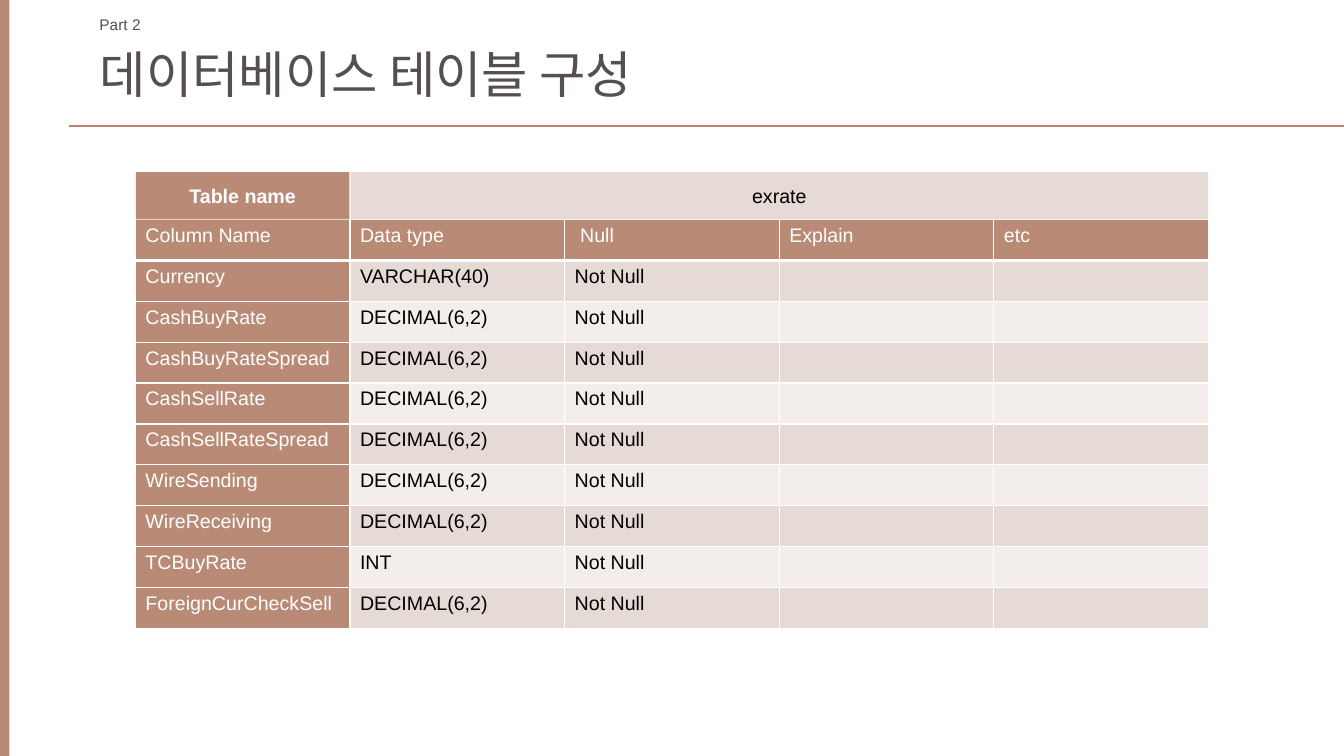
from lxml.etree import SubElement
from pptx import Presentation
from pptx.dml.color import RGBColor
from pptx.enum.shapes import MSO_CONNECTOR, MSO_SHAPE
from pptx.enum.text import MSO_ANCHOR, MSO_AUTO_SIZE, PP_ALIGN
from pptx.oxml.ns import qn
from pptx.util import Pt

COLORS = {
    "accent": "B98A76",
    "rule": "B78672",
    "band": "E6DAD6",
    "light": "F3EDEC",
    "heading": "554F4D",
    "white": "FFFFFF",
    "black": "000000",
}
HEADERS = ["Column Name", "Data type", " Null", "Explain", "etc"]
DECIMAL = "DECIMAL(6,2)"
FIELDS = [
    ("Currency", "VARCHAR(40)"),
    ("CashBuyRate", DECIMAL),
    ("CashBuyRateSpread", DECIMAL),
    ("CashSellRate", DECIMAL),
    ("CashSellRateSpread", DECIMAL),
    ("WireSending", DECIMAL),
    ("WireReceiving", DECIMAL),
    ("TCBuyRate", "INT"),
    ("ForeignCurCheckSell", DECIMAL),
]


def rgb(name):
    return RGBColor.from_string(COLORS[name])


class SlideBuilder:
    font = "Arial"

    def __init__(self, slide):
        self.slide = slide

    def style(self, tf, size, color, bold=False):
        for p in tf.paragraphs:
            for r in p.runs:
                r.font.name = self.font
                r.font.size = Pt(size)
                r.font.bold = bold
                r.font.color.rgb = rgb(color)

    def place(self, sp, left, top, width, height):
        sp.left, sp.top = Pt(left), Pt(top)
        sp.width, sp.height = Pt(width), Pt(height)

    def title(self, text, *box):
        sp = self.slide.shapes.title
        self.place(sp, *box)
        tf = sp.text_frame
        tf.text = text
        tf.word_wrap = True
        tf.auto_size = MSO_AUTO_SIZE.NONE
        tf.vertical_anchor = MSO_ANCHOR.TOP
        tf.paragraphs[0].alignment = PP_ALIGN.LEFT
        self.style(tf, 36, "heading")

    def label(self, text, *box):
        tf = self.slide.shapes.add_textbox(*map(Pt, box)).text_frame
        tf.text = text
        tf.word_wrap = False
        tf.auto_size = MSO_AUTO_SIZE.SHAPE_TO_FIT_TEXT
        self.style(tf, 11, "heading")

    def rect(self, fill, *box, text="", color="black", bold=False):
        sp = self.slide.shapes.add_shape(MSO_SHAPE.RECTANGLE, *map(Pt, box))
        sp.shadow.inherit = False
        sp.fill.solid()
        sp.fill.fore_color.rgb = rgb(fill)
        sp.line.fill.background()
        if text:
            tf = sp.text_frame
            tf.text = text
            tf.vertical_anchor = MSO_ANCHOR.MIDDLE
            tf.paragraphs[0].alignment = PP_ALIGN.CENTER
            self.style(tf, 14, color, bold)

    def rule(self, left, right, y):
        line = self.slide.shapes.add_connector(
            MSO_CONNECTOR.STRAIGHT, Pt(left), Pt(y), Pt(right), Pt(y))
        line.line.color.rgb = rgb("rule")
        line.line.width = Pt(0.75)
        SubElement(line._element.spPr, qn("a:effectLst"))

    def borders(self, cell, bottom):
        """Draw white cell edges, 1 pt wide except for the bottom one."""
        tc_pr = cell._tc.get_or_add_tcPr()
        for side, width in (("L", 1), ("R", 1), ("T", 1), ("B", bottom)):
            ln = SubElement(tc_pr, qn(f"a:ln{side}"), w=str(Pt(width)))
            fill = SubElement(ln, qn("a:solidFill"))
            SubElement(fill, qn("a:srgbClr"), val=COLORS["white"])

    def table(self, rows, left, top, col_width, row_height):
        """Fill the first row and column with the accent and band the rest."""
        n_rows, n_cols = len(rows), len(rows[0])
        table = self.slide.shapes.add_table(
            n_rows, n_cols, Pt(left), Pt(top),
            Pt(col_width * n_cols), Pt(row_height * n_rows)).table
        for column in table.columns:
            column.width = Pt(col_width)
        for i, row in enumerate(rows):
            table.rows[i].height = Pt(row_height)
            for j, text in enumerate(row):
                cell = table.cell(i, j)
                heading = i == 0 or j == 0
                self.borders(cell, 3 if i == 0 else 1)
                cell.fill.solid()
                cell.fill.fore_color.rgb = rgb(
                    "accent" if heading else "band" if i % 2 else "light")
                cell.text_frame.text = text
                self.style(cell.text_frame, 14, "white" if heading else "black")


def main():
    prs = Presentation()
    prs.slide_width, prs.slide_height = Pt(960), Pt(540)
    s = SlideBuilder(prs.slides.add_slide(prs.slide_layouts[5]))

    s.rule(49, 960, 90)
    s.title("데이터베이스 테이블 구성", 64, 27.5, 440, 51)
    s.label("Part 2", 64, 7.2, 44, 20.6)
    s.rect("accent", 0, 0, 6.8, 540)

    rows = [HEADERS] + [[name, kind, "Not Null", "", ""] for name, kind in FIELDS]
    s.table(rows, 96.7, 156.8, 153.3, 29.2)
    s.rect("band", 250.4, 123, 612.6, 33.8, text="exrate")
    s.rect("accent", 97, 123, 152.6, 33.8, text="Table name", color="white", bold=True)

    prs.save("out.pptx")


if __name__ == "__main__":
    main()
